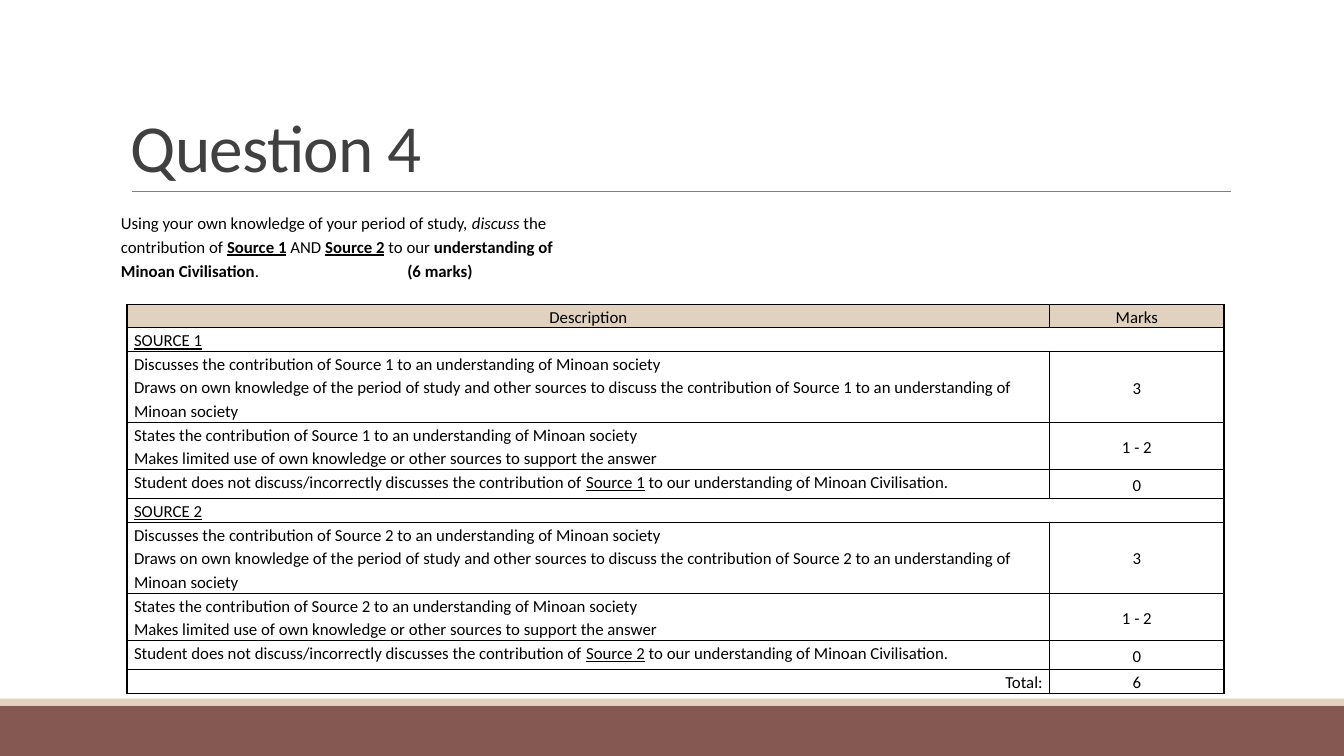
import pptx
import pptx.dml.color
import pptx.enum.shapes
import pptx.enum.text
import pptx.oxml
import pptx.oxml.ns
import pptx.util

Pt = pptx.util.Pt
WIDE, HIGH = pptx.util.Inches(13.33), pptx.util.Inches(7.5)
ALIGN = pptx.enum.text.PP_ALIGN
ANCHOR = pptx.enum.text.MSO_ANCHOR
BLACK, GREY, DARK, SAND, BRICK = "000000", "808080", "404040", "E1D2BF", "865852"


def across(share):
    """Percent of the slide's width."""
    return round(WIDE * share / 100)


def down(share):
    """Percent of the slide's height."""
    return round(HIGH * share / 100)


def place(left, top, width, height):
    return across(left), down(top), across(width), down(height)


def color(code):
    return pptx.dml.color.RGBColor.from_string(code)


def node(tag, body="", **attrs):
    extra = "".join(f' {key}="{value}"' for key, value in attrs.items())
    names = pptx.oxml.ns.nsdecls("a")
    return pptx.oxml.parse_xml(f"<a:{tag} {names}{extra}>{body}</a:{tag}>")


def write(frame, text, size=12, ink=BLACK, align=ALIGN.LEFT, lead=1.15,
          after=10, track=0, stop=None):
    """Text is a string or (words, style) pairs; style letters are b, i, u."""
    para = frame.paragraphs[0]
    if stop:
        tabs = node("tabLst")
        tabs.append(node("tab", pos=stop, algn="l"))
        para._p.get_or_add_pPr().append(tabs)
    para.alignment, para.line_spacing = align, lead
    para.space_after = Pt(after)
    parts = [(text, "")] if isinstance(text, str) else text
    for words, style in parts:
        for index, line in enumerate(words.split("\n")):
            if index:
                para.add_line_break()
            run = para.add_run()
            run.text = line
            font = run.font
            font.name, font.size = "Calibri", Pt(size)
            font.color.rgb = color(ink)
            font.bold, font.italic = "b" in style, "i" in style
            font.underline = "u" in style
            if track:
                run._r.get_or_add_rPr().set("spc", str(track))


def box(slide, area, text, anchor=ANCHOR.TOP, inset=0, **style):
    frame = slide.shapes.add_textbox(*place(*area)).text_frame
    frame.word_wrap = True
    frame.vertical_anchor = anchor
    frame.margin_left = frame.margin_right = pptx.util.Inches(inset)
    write(frame, text, **style)


def band(slide, top, height, fill):
    kind = pptx.enum.shapes.MSO_SHAPE.RECTANGLE
    shape = slide.shapes.add_shape(kind, *place(0, top, 100, height))
    shape.shadow.inherit = False
    shape.fill.solid()
    shape.fill.fore_color.rgb = color(fill)
    shape.line.fill.background()


def rule(slide, left, right, top):
    kind = pptx.enum.shapes.MSO_CONNECTOR.STRAIGHT
    line = slide.shapes.add_connector(
        kind, across(left), down(top), across(right), down(top))
    line.line.color.rgb = color(GREY)
    line.line.width = Pt(0.5)
    line._element.spPr.append(node("effectLst"))


def edge(cell):
    fill = f'<a:solidFill><a:srgbClr val="{BLACK}"/></a:solidFill>'
    for side in "LRTB":
        cell._tc.get_or_add_tcPr().append(node("ln" + side, fill, w=Pt(1)))


def fill_cell(cell, text, align, anchor, fill):
    cell.margin_left = cell.margin_right = pptx.util.Inches(0.07)
    cell.margin_top = cell.margin_bottom = 0
    cell.vertical_anchor = anchor
    if fill:
        cell.fill.solid()
        cell.fill.fore_color.rgb = color(fill)
    else:
        cell.fill.background()
    write(cell.text_frame, text, align=align)


def source(name):
    """Rows of one source: row height, description, marks."""
    return [
        (3.1, [(name.upper(), "u")], None),
        (9.4, f"Discusses the contribution of {name} to an understanding of "
         "Minoan society\nDraws on own knowledge of the period of study and "
         f"other sources to discuss the contribution of {name} to an "
         "understanding of Minoan society", "3"),
        (6.27, f"States the contribution of {name} to an understanding of "
         "Minoan society\nMakes limited use of own knowledge or other "
         "sources to support the answer", "1 - 2"),
        (3.85, [("Student does not discuss/incorrectly discusses the "
                 "contribution of ", ""), (name, "u"),
                (" to our understanding of Minoan Civilisation.", "")], "0"),
    ]


def grid(slide):
    rows = [(3.1, "Description", "Marks"), *source("Source 1"),
            *source("Source 2"), (3.1, "Total:", "6")]
    high = sum(row[0] for row in rows)
    table = slide.shapes.add_table(
        len(rows), 2, *place(9.45, 40.27, 81.63, high)).table
    table.first_row = table.horz_banding = False
    for col, width in zip(table.columns, (68.65, 12.98)):
        col.width = across(width)
    last = len(rows) - 1
    for index, (height, text, marks) in enumerate(rows):
        table.rows[index].height = down(height)
        left, right = table.cell(index, 0), table.cell(index, 1)
        edge(left)
        edge(right)
        head = index == 0
        align = {0: ALIGN.CENTER, last: ALIGN.RIGHT}.get(index, ALIGN.LEFT)
        fill = SAND if head else None
        fill_cell(left, text, align, ANCHOR.TOP, fill)
        if marks is None:
            left.merge(right)
        else:
            anchor = ANCHOR.TOP if head else ANCHOR.MIDDLE
            fill_cell(right, marks, ALIGN.CENTER, anchor, fill)


def main():
    deck = pptx.Presentation()
    deck.slide_width, deck.slide_height = WIDE, HIGH
    slide = deck.slides.add_slide(deck.slide_layouts[6])

    # Footer bands and title rule
    band(slide, 93.33, 6.67, BRICK)
    band(slide, 92.4, 0.93, SAND)
    rule(slide, 9.83, 91.6, 25.33)

    # Title
    box(slide, (9, 4.13, 82.52, 21.2), "Question 4", anchor=ANCHOR.BOTTOM,
        inset=0.1, size=48, ink=DARK, lead=0.85, after=0, track=-50)

    # Question
    ask = [
        ("Using your own knowledge of your period of study, ", ""),
        ("discuss", "i"), (" the contribution of ", ""),
        ("Source 1", "bu"), (" AND ", ""), ("Source 2", "bu"),
        (" to our ", ""), ("understanding of Minoan Civilisation", "b"),
        (".\t", ""), ("(6 marks)", "b"),
    ]
    box(slide, (9, 26.93, 36.31, 12), ask, lead=1.2, after=6,
        stop=pptx.util.Inches(2.84))

    # Marking key
    grid(slide)
    deck.save("out.pptx")


if __name__ == "__main__":
    main()
